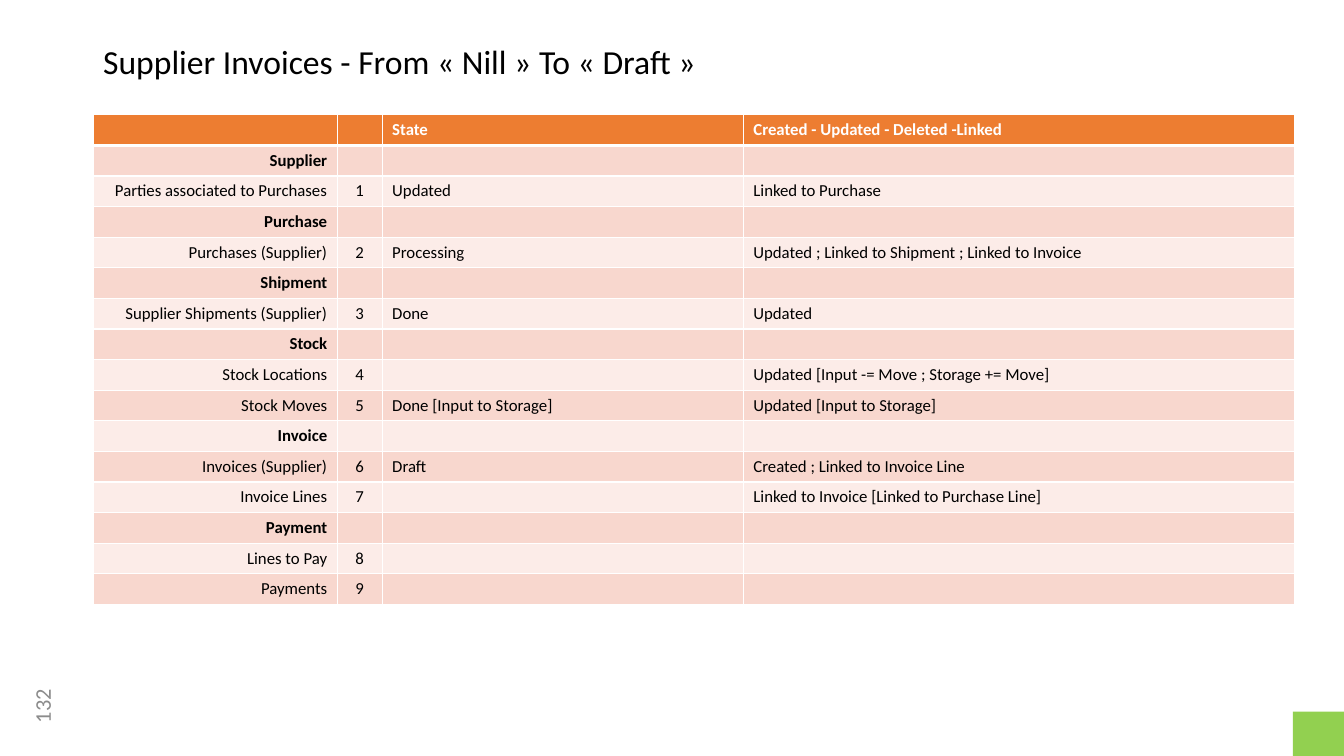
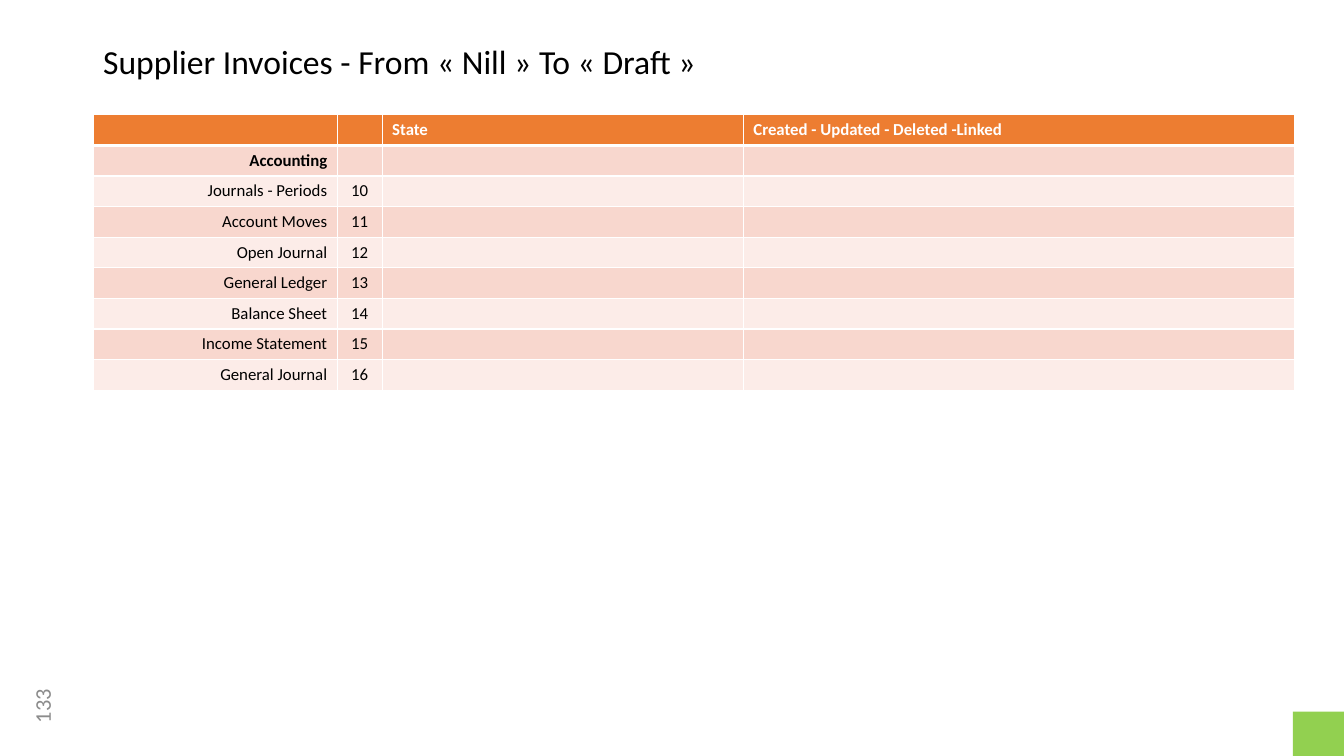
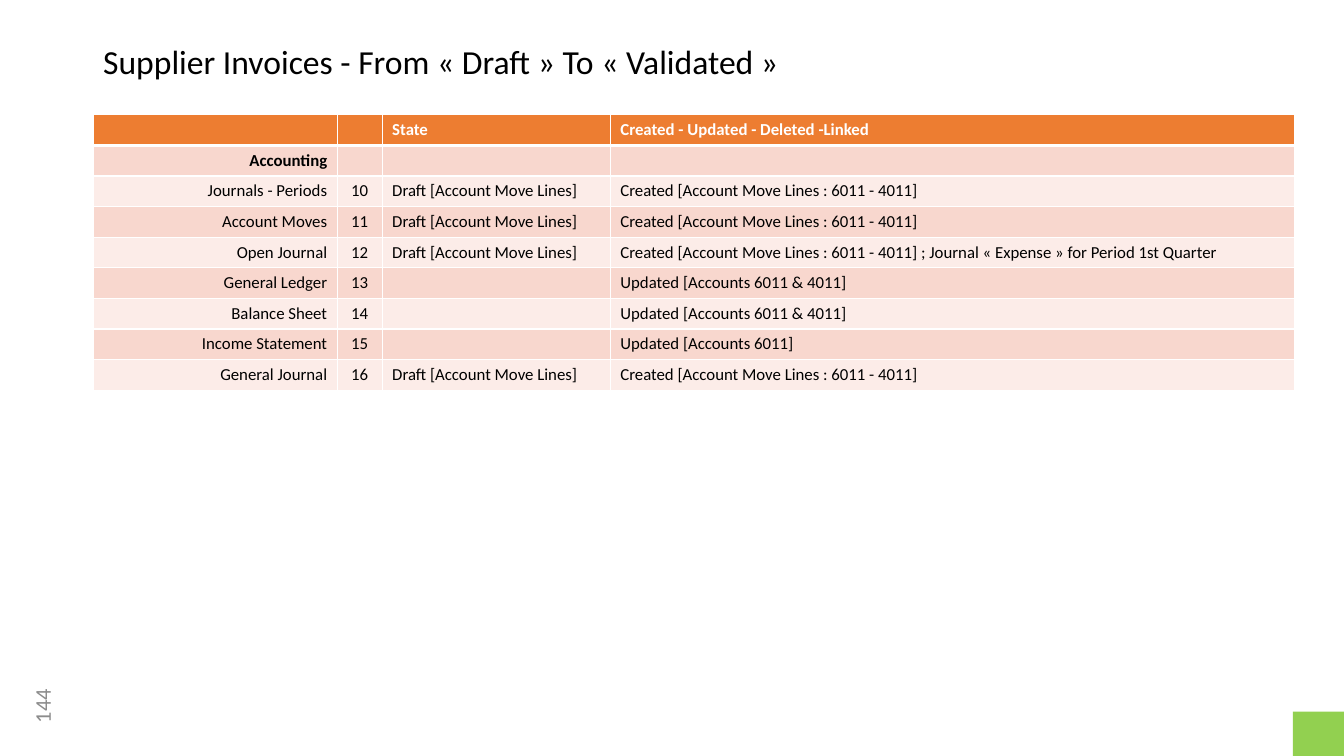
from lxml import etree
from pptx import Presentation
from pptx.dml.color import RGBColor
from pptx.enum import shapes, text
from pptx.oxml import ns
from pptx.util import Pt

FONT = "Calibri"
BLACK, WHITE, GREY = "000000", "FFFFFF", "8C8C8C"
ORANGE, GREEN = "ED7D31", "92D050"
BANDS = ("F8D7CE", "FCECE8")

PAGE_WIDTH, PAGE_HEIGHT = 960, 540
TITLE_BOX = (66.5, 28.8, 828, 36.7)
TABLE_BOX = (66.5, 82, 858.5)
NUMBER_BOX = (3, 490, 54, 29)
CORNER_SIZE = (36.5, 31.7)

ROW_HEIGHT = 21.8
LABEL_WIDTH, NUMBER_WIDTH = 174.5, 32
HEADINGS = ("", "", "State", "Created - Updated - Deleted -Linked")
ALIGNMENTS = (text.PP_ALIGN.RIGHT, text.PP_ALIGN.CENTER,
              text.PP_ALIGN.LEFT, text.PP_ALIGN.LEFT)

NILL_TO_DRAFT = "Supplier Invoices - From « Nill » To « Draft »"
DRAFT_TO_VALIDATED = "Supplier Invoices - From « Draft » To « Validated »"
DRAFT_LINES = "Draft [Account Move Lines]"
CREATED_LINES = "Created [Account Move Lines : 6011 - 4011]"
UPDATED_ACCOUNTS = "Updated [Accounts 6011 & 4011]"

# A row with a label alone opens a section; the other rows are numbered.
TRADE_ROWS = [
    ("Supplier",),
    ("Parties associated to Purchases", "Updated", "Linked to Purchase"),
    ("Purchase",),
    ("Purchases (Supplier)", "Processing",
     "Updated ; Linked to Shipment ; Linked to Invoice"),
    ("Shipment",),
    ("Supplier Shipments (Supplier)", "Done", "Updated"),
    ("Stock",),
    ("Stock Locations", "", "Updated [Input -= Move ; Storage += Move]"),
    ("Stock Moves", "Done [Input to Storage]", "Updated [Input to Storage]"),
    ("Invoice",),
    ("Invoices (Supplier)", "Draft", "Created ; Linked to Invoice Line"),
    ("Invoice Lines", "", "Linked to Invoice [Linked to Purchase Line]"),
    ("Payment",),
    ("Lines to Pay", "", ""),
    ("Payments", "", ""),
]
ACCOUNTS = ("Journals - Periods", "Account Moves", "Open Journal",
            "General Ledger", "Balance Sheet", "Income Statement",
            "General Journal")
VALIDATED_CHANGES = [
    (DRAFT_LINES, CREATED_LINES),
    (DRAFT_LINES, CREATED_LINES),
    (DRAFT_LINES,
     CREATED_LINES + " ; Journal « Expense » for Period 1st Quarter"),
    ("", UPDATED_ACCOUNTS),
    ("", UPDATED_ACCOUNTS),
    ("", "Updated [Accounts 6011]"),
    (DRAFT_LINES, CREATED_LINES),
]


def account_rows(changes):
    return [("Accounting",)] + [
        (account, *change) for account, change in zip(ACCOUNTS, changes)]


# Title, page number, first row number, width of the state column, rows
PAGES = [
    (NILL_TO_DRAFT, "132", 1, 258, TRADE_ROWS),
    (NILL_TO_DRAFT, "133", 10, 258, account_rows([("", "")] * len(ACCOUNTS))),
    (DRAFT_TO_VALIDATED, "144", 10, 163, account_rows(VALIDATED_CHANGES)),
]


def color(value):
    return RGBColor.from_string(value)


def points(values):
    return [Pt(value) for value in values]


def write(para, words, size, ink, bold=False):
    span = para.add_run()
    span.text = words
    span.font.name = FONT
    span.font.size = Pt(size)
    span.font.bold = bold
    span.font.color.rgb = color(ink)


def add_title(page, box, words):
    title = page.shapes.title
    title.left, title.top, title.width, title.height = points(box)
    frame = title.text_frame
    frame.auto_size = text.MSO_AUTO_SIZE.NONE
    frame.vertical_anchor = text.MSO_ANCHOR.TOP
    para = frame.paragraphs[0]
    para.alignment = text.PP_ALIGN.LEFT
    para.line_spacing = 0.9
    write(para, words, 24, BLACK)


def add_page_number(page, box, number):
    label = page.shapes.add_textbox(*points(box))
    label.rotation = 270
    frame = label.text_frame
    frame.word_wrap = True
    frame.vertical_anchor = text.MSO_ANCHOR.MIDDLE
    para = frame.paragraphs[0]
    para.alignment = text.PP_ALIGN.CENTER
    write(para, number, 16, GREY)


def add_corner(page, size):
    width, height = size
    corner = page.shapes.add_shape(
        shapes.MSO_SHAPE.RECTANGLE,
        *points((PAGE_WIDTH - width, PAGE_HEIGHT - height, width, height)))
    corner.shadow.inherit = False
    corner.fill.solid()
    corner.fill.fore_color.rgb = color(GREEN)
    corner.line.fill.background()


def add_borders(cell, top, bottom):
    properties = cell._tc.get_or_add_tcPr()
    for side, width in (("L", 1), ("R", 1), ("T", top), ("B", bottom)):
        line = etree.SubElement(properties, ns.qn("a:ln" + side),
                                w=str(Pt(width)))
        fill = etree.SubElement(line, ns.qn("a:solidFill"))
        etree.SubElement(fill, ns.qn("a:srgbClr"), val=WHITE)


def fill_row(cells, words, background, ink, bold, top=1, bottom=1):
    for cell, content, alignment in zip(cells, words, ALIGNMENTS):
        add_borders(cell, top, bottom)
        cell.fill.solid()
        cell.fill.fore_color.rgb = color(background)
        para = cell.text_frame.paragraphs[0]
        para.alignment = alignment
        if content:
            write(para, content, 12, ink, bold)
        else:
            # Keeps an empty cell from making its row taller
            para._p.get_or_add_endParaRPr().set("sz", "1200")


def add_state_table(page, box, state_width, rows, number):
    left, top, width = box
    row_count = len(rows) + 1
    frame = page.shapes.add_table(
        row_count, len(HEADINGS),
        *points((left, top, width, row_count * ROW_HEIGHT)))
    table = frame.table
    fixed = (LABEL_WIDTH, NUMBER_WIDTH, state_width)
    for column, column_width in zip(table.columns, (*fixed, width - sum(fixed))):
        column.width = Pt(column_width)
    for row in table.rows:
        row.height = Pt(ROW_HEIGHT)

    fill_row(table.rows[0].cells, HEADINGS, ORANGE, WHITE, True, bottom=3)
    for index, (label, *changes) in enumerate(rows):
        is_section = not changes
        if is_section:
            words = (label, "", "", "")
        else:
            words = (label, str(number), *changes)
            number += 1
        fill_row(table.rows[index + 1].cells, words, BANDS[index % 2], BLACK,
                 is_section, top=1 if index else 3)


def add_page(deck, title, page_number, first_number, state_width, rows):
    page = deck.slides.add_slide(deck.slide_layouts.get_by_name("Title Only"))
    add_title(page, TITLE_BOX, title)
    add_state_table(page, TABLE_BOX, state_width, rows, first_number)
    add_page_number(page, NUMBER_BOX, page_number)
    add_corner(page, CORNER_SIZE)


def main():
    deck = Presentation()
    deck.slide_width, deck.slide_height = Pt(PAGE_WIDTH), Pt(PAGE_HEIGHT)
    for content in PAGES:
        add_page(deck, *content)
    deck.save("out.pptx")


if __name__ == "__main__":
    main()
